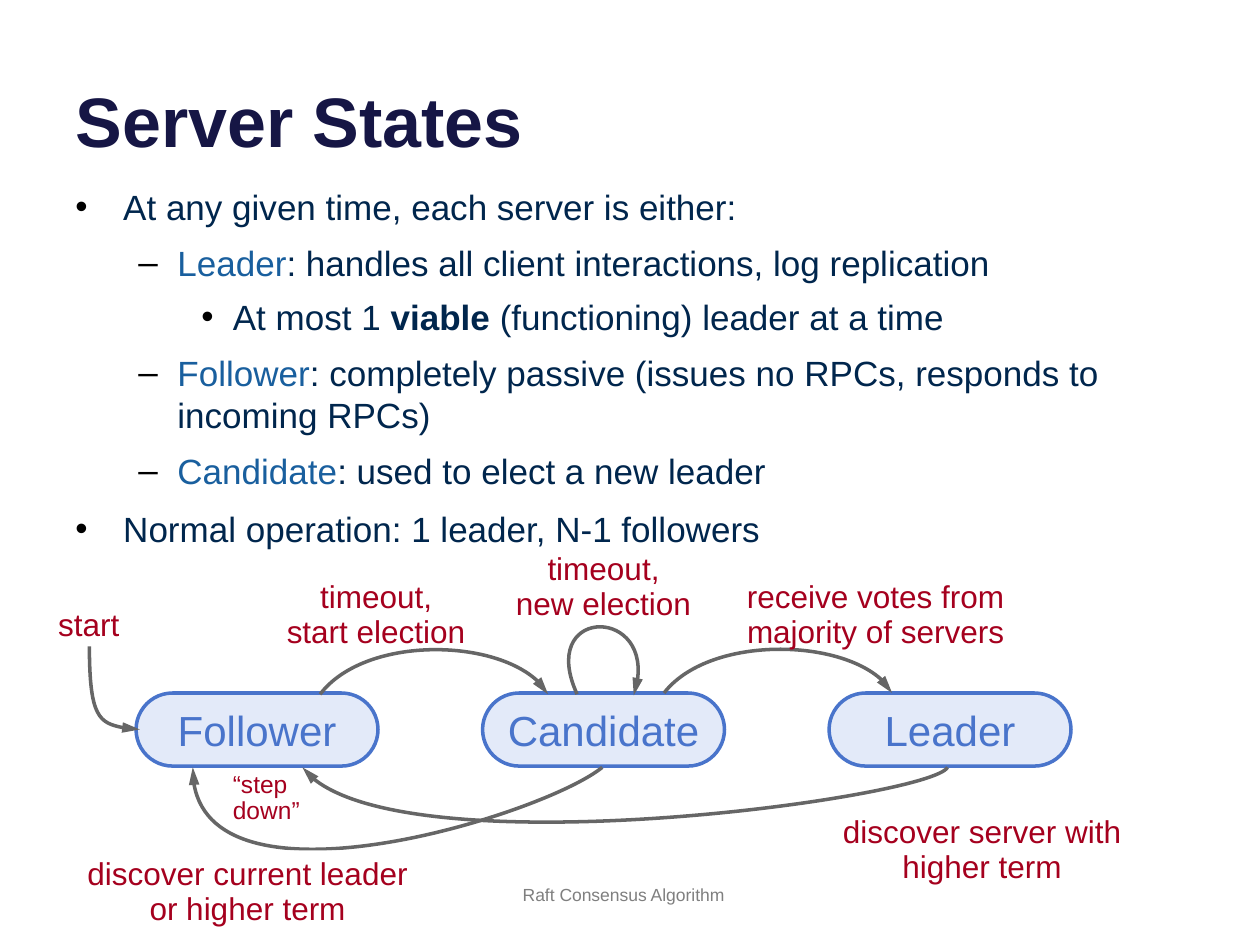
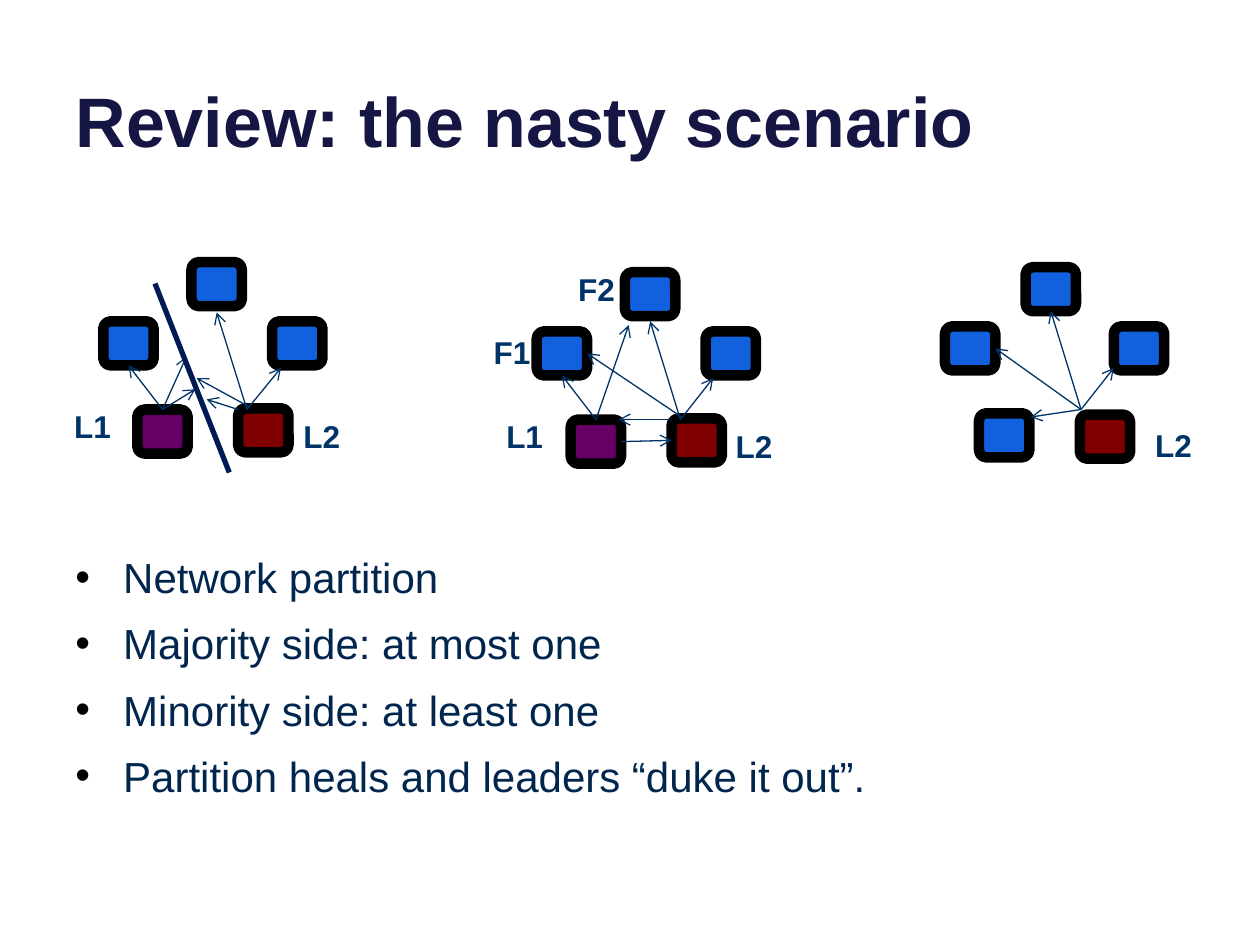
from lxml import etree
from pptx import Presentation, util as u
from pptx.dml.color import RGBColor
from pptx.enum import shapes, text
from pptx.oxml.ns import qn

WHITE = RGBColor(0xFF, 0xFF, 0xFF)
BLACK = RGBColor(0x00, 0x00, 0x00)
TITLE_NAVY = RGBColor(0x16, 0x16, 0x45)
BODY_NAVY = RGBColor(0x00, 0x26, 0x4D)
TERM_BLUE = RGBColor(0x19, 0x5F, 0x9E)
STATE_BLUE = RGBColor(0x49, 0x74, 0xCB)
STATE_FILL = RGBColor(0xE3, 0xEA, 0xF9)
EVENT_RED = RGBColor(0xA5, 0x00, 0x1E)
ARROW_GRAY = RGBColor(0x66, 0x66, 0x66)
FOOTER_GRAY = RGBColor(0x7F, 0x7F, 0x7F)
MESSAGE_BLUE = RGBColor(0x00, 0x33, 0x67)
PARTITION_NAVY = RGBColor(0x00, 0x1B, 0x53)
FOLLOWER_BLUE = RGBColor(0x11, 0x60, 0xDD)
LEADER_PURPLE = RGBColor(0x66, 0x00, 0x66)
LEADER_RED = RGBColor(0x80, 0x00, 0x00)

FONT = "Arial"

# Bullet sign, left margin, hanging indent (inches), space before (points)
BULLET_LEVELS = [("•", 0.38, 0.38, 9), ("–", 0.81, 0.31, 8), ("•", 1.25, 0.25, 7)]

NODE_WIDTH, NODE_HEIGHT = 0.4, 0.35
# Places of a cluster's nodes, measured from its top node
NODE_OFFSETS = [(0, 0), (0.64, 0.47), (-0.7, 0.47), (0.37, 1.16), (-0.43, 1.17)]


def inches(*lengths):
    return [u.Inches(length) for length in lengths]


def apply(target, **formats):
    for name, value in formats.items():
        setattr(target, name, value)


class Deck:
    """Holds the shared style and the slide being filled."""

    def __init__(self):
        self.presentation = Presentation()
        apply(self.presentation, slide_width=u.Inches(10), slide_height=u.Inches(7.5))
        self.slide = None
        self.container = None

    def add_slide(self, title):
        self.slide = self.presentation.slides.add_slide(self.presentation.slide_layouts[5])
        self.container = self.slide.shapes
        shape = self.slide.shapes.title
        left, top, width, height = inches(0.5, -0.37, 9, 1.7)
        apply(shape, left=left, top=top, width=width, height=height)
        apply(shape.text_frame, text=title, word_wrap=True, auto_size=text.MSO_AUTO_SIZE.NONE,
              vertical_anchor=text.MSO_ANCHOR.BOTTOM)
        paragraph = shape.text_frame.paragraphs[0]
        paragraph.alignment = text.PP_ALIGN.LEFT
        self.style_runs(paragraph, 40, TITLE_NAVY, bold=True)

    def start_group(self):
        self.container = self.slide.shapes.add_group_shape().shapes

    def end_group(self):
        self.container = self.slide.shapes

    def style_runs(self, paragraph, size, color, **formats):
        for run in paragraph.runs:
            apply(run.font, name=FONT, size=u.Pt(size), **formats)
            run.font.color.rgb = color

    def bullets(self, box, size, items):
        """Each item is a level and its runs: (text, color, bold)."""
        frame = self.container.add_textbox(*inches(*box)).text_frame
        frame.word_wrap = True
        for index, (level, runs) in enumerate(items):
            paragraph = frame.add_paragraph() if index else frame.paragraphs[0]
            sign, margin, hanging, space = BULLET_LEVELS[level]
            properties = paragraph._p.get_or_add_pPr()
            properties.set("marL", str(u.Inches(margin)))
            properties.set("indent", str(-u.Inches(hanging)))
            color = etree.SubElement(properties, qn("a:buClr"))
            etree.SubElement(color, qn("a:srgbClr"), val=str(BLACK))
            etree.SubElement(properties, qn("a:buFont"), typeface=FONT)
            etree.SubElement(properties, qn("a:buChar"), char=sign)
            apply(paragraph, level=level, space_before=u.Pt(space if index else 0))
            for words, run_color, bold in runs:
                run = paragraph.add_run()
                run.text = words
                apply(run.font, name=FONT, size=u.Pt(size), bold=bold)
                run.font.color.rgb = run_color

    def label(self, box, lines, size=18, color=EVENT_RED, spacing=None, wrap=False,
              align=text.PP_ALIGN.CENTER, fill=None, bold=False):
        shape = self.container.add_textbox(*inches(*box))
        if fill is not None:
            shape.fill.solid()
            shape.fill.fore_color.rgb = fill
        shape.text_frame.word_wrap = wrap
        paragraph = shape.text_frame.paragraphs[0]
        apply(paragraph, text="\v".join(lines), alignment=align)
        if spacing:
            paragraph.line_spacing = u.Pt(spacing)
        self.style_runs(paragraph, size, color, bold=bold)

    def round_box(self, box, fill, line, weight):
        shape = self.container.add_shape(shapes.MSO_SHAPE.ROUNDED_RECTANGLE, *inches(*box))
        shape.shadow.inherit = False
        shape.fill.solid()
        shape.fill.fore_color.rgb = fill
        self.outline(shape, line, weight)
        return shape

    def state(self, left, name):
        shape = self.round_box((left, 5.5, 1.92, 0.58), STATE_FILL, STATE_BLUE, 2)
        shape.adjustments[0] = 0.5
        apply(shape.text_frame, text=name, vertical_anchor=text.MSO_ANCHOR.MIDDLE)
        paragraph = shape.text_frame.paragraphs[0]
        paragraph.alignment = text.PP_ALIGN.CENTER
        self.style_runs(paragraph, 24, STATE_BLUE)

    def outline(self, shape, color, weight, arrow=None, arrow_length="med"):
        shape.line.color.rgb = color
        shape.line.width = u.Pt(weight)
        if arrow:
            etree.SubElement(shape.line._get_or_add_ln(), qn("a:tailEnd"),
                             type=arrow, len=arrow_length)

    def curve(self, *points):
        """Draw one cubic curve: start, two control points, end."""
        start, *rest = [inches(*point) for point in points]

        def position(t):
            weights = ((1 - t) ** 3, 3 * t * (1 - t) ** 2, 3 * t * t * (1 - t), t ** 3)
            return [round(sum(weight * point[axis] for weight, point in zip(weights, [start] + rest)))
                    for axis in (0, 1)]

        # Points along the curve give the outline its true bounds
        builder = self.container.build_freeform(*start)
        builder.add_line_segments([position(step / 20) for step in range(1, 21)], close=False)
        shape = builder.convert_to_shape()
        outline = shape._element.xpath(".//a:path")[0]
        for segment in outline.findall(qn("a:lnTo")):
            outline.remove(segment)
        cubic = etree.SubElement(outline, qn("a:cubicBezTo"))
        for x, y in rest:
            etree.SubElement(cubic, qn("a:pt"), x=str(x - shape.left), y=str(y - shape.top))
        shape.shadow.inherit = False
        shape.fill.background()
        self.outline(shape, ARROW_GRAY, 2, "triangle", "lg")

    def line(self, start, end, nodes=(), color=MESSAGE_BLUE, weight=0.75, arrow="arrow"):
        """Draw a straight line, joined to any node side whose middle it meets."""
        connector = self.container.add_connector(
            shapes.MSO_CONNECTOR.STRAIGHT, *inches(*start, *end))
        self.outline(connector, color, weight, arrow)
        etree.SubElement(connector._element.spPr, qn("a:effectLst"))
        for node in nodes:
            middle_x, middle_y = node.left + node.width // 2, node.top + node.height // 2
            sides = [(middle_x, node.top), (node.left, middle_y),
                     (middle_x, node.top + node.height), (node.left + node.width, middle_y)]
            for site, side in enumerate(sides):
                for point, connect in ((start, connector.begin_connect), (end, connector.end_connect)):
                    if all(abs(a - b) < u.Inches(0.02) for a, b in zip(inches(*point), side)):
                        connect(node, site)

    def cluster(self, top_node, colors, messages, names=(), mirror=1):
        """Draw five nodes, the messages between them and their names."""
        left, top = top_node
        nodes = [self.round_box((left + mirror * x, top + y, NODE_WIDTH, NODE_HEIGHT), color, BLACK, 6)
                 for (x, y), color in zip(NODE_OFFSETS, colors)]
        for start, ends in messages:
            for end in ends:
                self.line(start, end, nodes)
        for name, place in names:
            self.node_name(name, place)

    def node_name(self, name, place):
        self.label((*place, 0.5, 0.4), [name], color=MESSAGE_BLUE, wrap=True,
                   align=text.PP_ALIGN.LEFT, bold=True)


def server_states(deck):
    deck.add_slide("Server States")

    def plain(words):
        return words, BODY_NAVY, False

    def term(words):
        return words, TERM_BLUE, False

    deck.bullets((0.5, 1.42, 9, 3.5), 20, [
        (0, [plain("At any given time, each server is either:")]),
        (1, [term("Leader"), plain(": handles all client interactions, log replication")]),
        (2, [plain("At most 1 "), ("viable", BODY_NAVY, True),
             plain(" (functioning) leader at a time")]),
        (1, [term("Follower"),
             plain(": completely passive (issues no RPCs, responds to incoming RPCs)")]),
        (1, [term("Candidate"), plain(": used to elect a new leader")]),
        (0, [plain("Normal operation: 1 leader, N-1 followers")]),
    ])
    deck.label((4.05, 6.97, 3.75, 0.43), ["Raft Consensus Algorithm"], 10, FOOTER_GRAY,
               wrap=True, align=text.PP_ALIGN.LEFT)

    for index, name in enumerate(["Follower", "Candidate", "Leader"]):
        deck.state(1.08 + 2.75 * index, name)

    for points in [
        ((0.71, 5.13), (0.71, 5.7), (0.83, 5.78), (1.11, 5.79)),
        ((2.54, 5.51), (2.89, 5.05), (4.1, 5.06), (4.35, 5.51)),
        ((5.27, 5.5), (5.62, 5.05), (6.84, 5.06), (7.08, 5.5)),
        ((4.58, 5.51), (4.27, 4.83), (5.26, 4.8), (5.03, 5.52)),
        ((4.78, 6.09), (4.33, 6.46), (1.51, 7.34), (1.53, 6.09)),
        ((7.52, 6.09), (7.39, 6.33), (3.03, 6.93), (2.4, 6.09)),
    ]:
        deck.curve(*points)

    deck.label((0.36, 4.75, 0.69, 0.4), ["start"])
    for left, top, width, lines, fill in [
        (2.17, 4.55, 1.63, ["timeout,", "start election"], None),
        (5.82, 4.55, 2.26, ["receive votes from", "majority of servers"], None),
        (3.99, 4.33, 1.6, ["timeout,", "new election"], None),
        (6.58, 6.42, 2.43, ["discover server with", "higher term"], None),
        (0.58, 6.75, 2.77, ["discover current leader", "or higher term"], WHITE),
    ]:
        deck.label((left, top, width, 0.66), lines, spacing=20, fill=fill)
    deck.label((1.75, 6.08, 0.73, 0.52), ["“step", "down”"], 14, spacing=15,
               align=text.PP_ALIGN.LEFT)


def nasty_scenario(deck):
    deck.add_slide("Review: the nasty scenario")
    deck.bullets((0.5, 4.33, 9, 2.17), 24, [
        (0, [(words, BODY_NAVY, False)]) for words in [
            "Network partition",
            "Majority side: at most one",
            "Minority side: at least one",
            "Partition heals and leaders “duke it out”.",
        ]])

    followers = [FOLLOWER_BLUE] * 3
    two_leaders = followers + [LEADER_RED, LEADER_PURPLE]

    deck.start_group()
    deck.cluster((1.52, 2.08), two_leaders, [
        ((1.29, 3.25), [(1.02, 2.9), (1.55, 3.09), (1.48, 2.83)]),
        ((1.96, 3.25), [(2.23, 2.92), (1.72, 2.48)]),
        ((1.98, 3.23), [(1.56, 3)]),
        ((1.89, 3.25), [(1.64, 3.17)]),
    ], [("L2", (2.31, 3.26)), ("L1", (0.49, 3.18))])
    deck.line((1.23, 2.25), (1.82, 3.75), color=PARTITION_NAVY, weight=3, arrow=None)

    deck.start_group()
    deck.cluster((4.96, 2.16), two_leaders, [
        ((4.72, 3.33), [(4.46, 2.97), (4.99, 2.58)]),
        ((4.92, 3.5), [(5.32, 3.49)]),
        ((5.4, 3.33), [(5.66, 3), (5.16, 2.55)]),
        ((5.41, 3.31), [(4.66, 2.8)]),
        ((5.32, 3.33), [(4.91, 3.33)]),
    ], [("L2", (5.74, 3.34)), ("L1", (3.92, 3.26)), ("F1", (3.82, 2.59)), ("F2", (4.49, 2.09))])

    deck.start_group()
    deck.cluster((8.14, 2.12), followers + [FOLLOWER_BLUE, LEADER_RED], [
        ((8.58, 3.25), [(8.84, 2.92), (8.34, 2.47), (7.91, 2.76), (8.18, 3.31)]),
    ], mirror=-1)
    deck.end_group()
    deck.node_name("L2", (9.07, 3.33))


def main():
    deck = Deck()
    server_states(deck)
    nasty_scenario(deck)
    deck.presentation.save("out.pptx")


if __name__ == "__main__":
    main()
